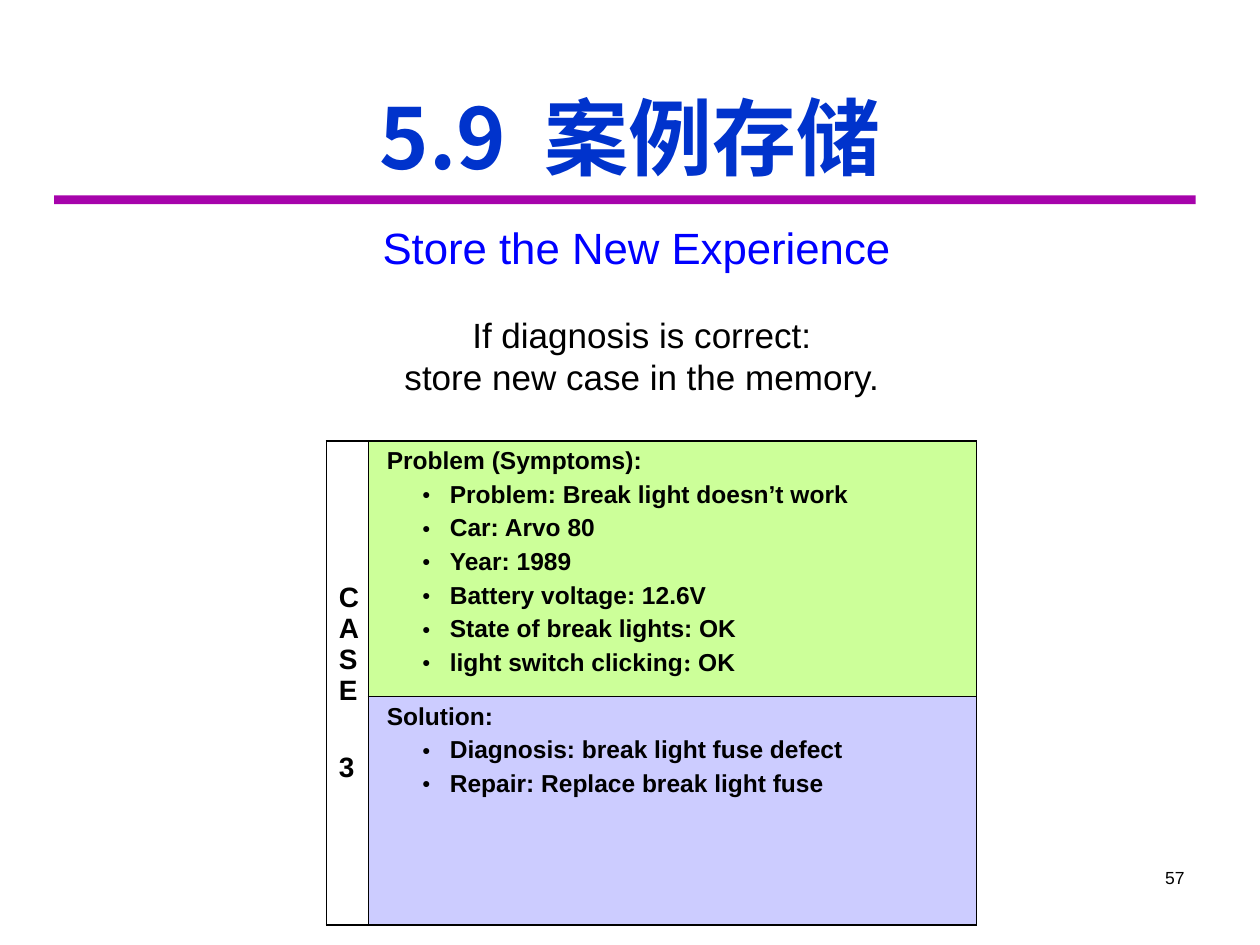
from lxml.etree import SubElement
from pptx import Presentation
from pptx.dml.color import RGBColor
from pptx.enum.shapes import MSO_SHAPE
from pptx.enum.text import MSO_ANCHOR, PP_ALIGN
from pptx.oxml.ns import qn
from pptx.util import Inches, Pt

COLORS = {
    "rule": "A603AB",
    "title": "0033CC",
    "subtitle": "0000FF",
    "text": "000000",
    "problem": "CCFF99",
    "solution": "CCCCFF",
}
TITLE = {"name": "Noto Sans CJK JP", "size": Pt(48), "bold": True}
SUBTITLE = {"name": "Arial", "size": Pt(25)}
BODY = {"name": "Arial", "size": Pt(20)}
NUMBER = {"name": "Arial", "size": Pt(10)}
LABEL = {"name": "Arial", "size": Pt(16), "bold": True}
ENTRY = {"name": "Arial", "size": Pt(14), "bold": True}
COLON = {**ENTRY, "name": "Times New Roman"}

OUTER, INNER = Pt(1.08), Pt(0.45)
PROBLEM_ITEMS = [
    ["Problem: Break light doesn’t work"],
    ["Car: Arvo 80"],
    ["Year: 1989"],
    ["Battery voltage: 12.6V"],
    ["State of break lights: OK"],
    ["light switch clicking", ":", " OK"],
]
SOLUTION_ITEMS = [
    ["Diagnosis: break light fuse defect"],
    ["Repair: Replace break light fuse"],
]


def rgb(key):
    """Return the named colour."""
    return RGBColor.from_string(COLORS[key])


def add_run(paragraph, text, formats, color="text"):
    """Append a run with the given font values and return it."""
    run = paragraph.add_run()
    run.text = text
    for name, value in formats.items():
        setattr(run.font, name, value)
    run.font.color.rgb = rgb(color)
    return run


def next_paragraph(frame):
    """Return the empty first paragraph of a frame, or a new one."""
    first = frame.paragraphs[0]
    return frame.add_paragraph() if first.runs else first


def set_indent(paragraph, left, hanging=0):
    """Set the left margin and hanging indent in inches."""
    properties = paragraph._p.get_or_add_pPr()
    properties.set("marL", str(Inches(left)))
    properties.set("indent", str(-Inches(hanging)))
    return properties


def add_bullet(paragraph):
    """Give a paragraph a small round bullet."""
    properties = set_indent(paragraph, 0.55, 0.22)
    SubElement(properties, qn("a:buSzPct"), val="57000")
    SubElement(properties, qn("a:buFont"), typeface="Arial")
    SubElement(properties, qn("a:buChar"), char="●")


def add_text_box(slide, box, anchor=MSO_ANCHOR.TOP):
    """Add an empty text box and return its frame."""
    frame = slide.shapes.add_textbox(*map(Inches, box)).text_frame
    frame.word_wrap = True
    frame.vertical_anchor = anchor
    return frame


def add_line(frame, text, formats, color="text", align=PP_ALIGN.LEFT):
    """Add a one-run paragraph and return it."""
    paragraph = next_paragraph(frame)
    paragraph.alignment = align
    add_run(paragraph, text, formats, color)
    return paragraph


def add_rule(slide):
    """Add the bar under the title."""
    box = map(Inches, (0.43, 1.55, 9.06, 0.07))
    shape = slide.shapes.add_shape(MSO_SHAPE.RECTANGLE, *box)
    shape.shadow.inherit = False
    shape.fill.solid()
    shape.fill.fore_color.rgb = rgb("rule")
    shape.line.fill.background()


def add_title(slide):
    """Add the slide title."""
    frame = add_text_box(slide, (0.75, 0.28, 8.5, 1.25), MSO_ANCHOR.BOTTOM)
    paragraph = add_line(frame, "5.9  案例存储", TITLE, "title", PP_ALIGN.CENTER)
    properties = paragraph.runs[0]._r.get_or_add_rPr()
    SubElement(properties, qn("a:ea"), typeface=TITLE["name"])


def add_introduction(slide):
    """Add the subtitle and the two lines below it."""
    frame = add_text_box(slide, (2.55, 1.7, 5, 1.75))
    add_line(frame, "Store the New Experience", SUBTITLE, "subtitle", PP_ALIGN.CENTER)
    lines = [("If diagnosis is correct:", 23), ("store new case in the memory.", 0)]
    for text, space in lines:
        paragraph = add_line(frame, text, BODY, align=PP_ALIGN.CENTER)
        paragraph.space_before = Pt(space)
        set_indent(paragraph, 0.09)


def set_borders(cell, widths):
    """Draw the left, right, top and bottom borders of a cell."""
    properties = cell._tc.get_or_add_tcPr()
    for side, width in zip("LRTB", widths):
        line = SubElement(properties, qn(f"a:ln{side}"), w=str(width))
        fill = SubElement(line, qn("a:solidFill"))
        SubElement(fill, qn("a:srgbClr"), val=COLORS["text"])


def fill_section(cell, heading, items, color):
    """Write a heading with bulleted items into a coloured cell."""
    cell.fill.solid()
    cell.fill.fore_color.rgb = rgb(color)
    frame = cell.text_frame
    set_indent(add_line(frame, heading, ENTRY), 0.05)
    for parts in items:
        paragraph = next_paragraph(frame)
        paragraph.space_before = Pt(3.5)
        add_bullet(paragraph)
        for part in parts:
            add_run(paragraph, part, COLON if part == ":" else ENTRY)


def fill_label(cell):
    """Write the case label, one letter to a line."""
    cell.fill.background()
    cell.vertical_anchor = MSO_ANCHOR.MIDDLE
    add_line(cell.text_frame, "CASE", LABEL, align=PP_ALIGN.CENTER)
    add_line(cell.text_frame, "3", LABEL).space_before = Pt(26.5)


def add_case_table(slide):
    """Add the table of the stored case."""
    box = map(Inches, (2.59, 3.5, 5.16, 3.84))
    table = slide.shapes.add_table(2, 2, *box).table
    table.first_row = table.horz_banding = False
    for column, width in zip(table.columns, (0.33, 4.83)):
        column.width = Inches(width)
    for row, height in zip(table.rows, (2.03, 1.81)):
        row.height = Inches(height)
    label, problem = table.cell(0, 0), table.cell(0, 1)
    lower_label, solution = table.cell(1, 0), table.cell(1, 1)
    label.merge(lower_label)
    for cell in (label, lower_label):
        set_borders(cell, (OUTER, INNER, OUTER, OUTER))
    set_borders(problem, (INNER, OUTER, OUTER, INNER))
    set_borders(solution, (INNER, OUTER, INNER, OUTER))
    lower_label.fill.background()
    fill_label(label)
    fill_section(problem, "Problem (Symptoms):", PROBLEM_ITEMS, "problem")
    fill_section(solution, "Solution:", SOLUTION_ITEMS, "solution")


def main():
    """Build and save the slide."""
    presentation = Presentation()
    presentation.slide_width, presentation.slide_height = Inches(10), Inches(7.5)
    slide = presentation.slides.add_slide(presentation.slide_layouts[6])
    add_rule(slide)
    number_frame = add_text_box(slide, (7.17, 6.83, 2.33, 0.5))
    add_line(number_frame, "57", NUMBER, align=PP_ALIGN.RIGHT)
    add_title(slide)
    add_case_table(slide)
    add_introduction(slide)
    presentation.save("out.pptx")


if __name__ == "__main__":
    main()
